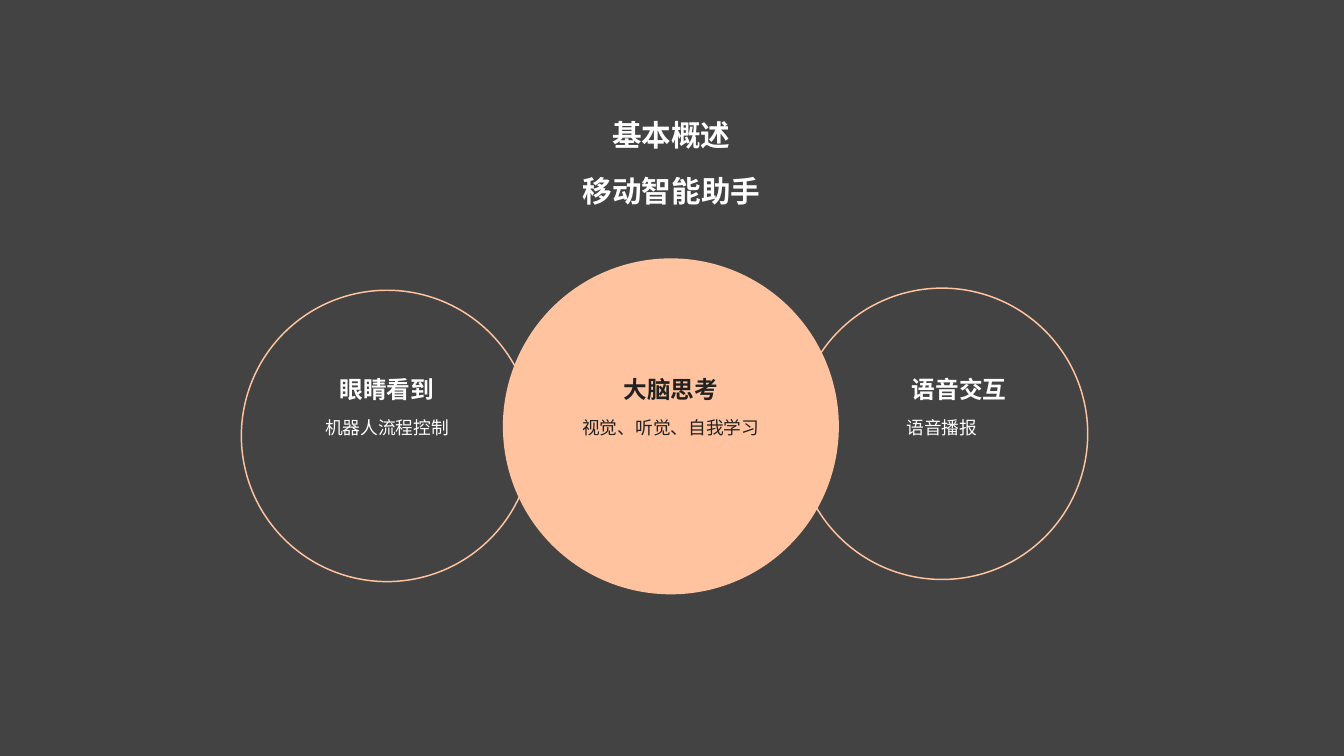
from dataclasses import dataclass

from lxml import etree
from pptx import Presentation
from pptx.dml.color import RGBColor
from pptx.enum.shapes import MSO_SHAPE
from pptx.enum.text import MSO_ANCHOR, MSO_AUTO_SIZE, PP_ALIGN
from pptx.oxml.ns import qn
from pptx.util import Inches, Pt

OVAL = MSO_SHAPE.OVAL
TOP = MSO_ANCHOR.TOP
CENTER = PP_ALIGN.CENTER
NO_AUTOFIT = MSO_AUTO_SIZE.NONE


@dataclass(frozen=True)
class Theme:
    """Colours, font and type sizes of the slide."""
    background: RGBColor = RGBColor.from_string("434343")
    accent: RGBColor = RGBColor.from_string("FFC39F")
    light: RGBColor = RGBColor.from_string("FFFFFF")
    dark: RGBColor = RGBColor.from_string("212121")
    font: str = "Noto Sans CJK SC"
    title: int = 20
    heading: int = 16
    body: int = 12
    line_spacing: float = 1.16


THEME = Theme()
SLIDE_WIDTH, SLIDE_HEIGHT = 12.64, 7.11
HEADING_WIDTH, BODY_WIDTH = 1.79, 2.23
BODY_DROP = 0.41

ABILITIES = [
    {"box": (2.27, 2.73, 2.74), "heading": "眼睛看到", "body": "机器人流程控制",
     "label_drop": 0.74},
    {"box": (4.73, 2.43, 3.16), "heading": "大脑思考", "body": "视觉、听觉、自我学习",
     "label_drop": 1.04, "filled": True},
    {"box": (7.49, 2.71, 2.74), "heading": "语音交互", "body": "语音播报",
     "label_drop": 0.76, "heading_shift": 0.16},
]


def set_attributes(target, values):
    """Set every named value on the target."""
    for name, value in values.items():
        setattr(target, name, value)


def write_line(shape, wording, size, color, bold):
    """Write one centred line into a text shape."""
    frame = shape.text_frame
    set_attributes(frame, {
        "word_wrap": True, "auto_size": NO_AUTOFIT, "vertical_anchor": TOP,
        "margin_left": Inches(0.03), "margin_right": Inches(0.03),
        "margin_top": Inches(0.01), "margin_bottom": Inches(0.01)})
    paragraph = frame.paragraphs[0]
    set_attributes(paragraph, {"alignment": CENTER, "line_spacing": THEME.line_spacing,
                               "space_before": Pt(0)})
    run = paragraph.add_run()
    run.text = wording
    set_attributes(run.font, {"name": THEME.font, "size": Pt(size), "bold": bold})
    run.font.color.rgb = color
    east_asian = etree.SubElement(run._r.get_or_add_rPr(), qn("a:ea"))
    east_asian.set("typeface", THEME.font)


def add_line(slide, middle, top, width, height, wording, size, color, bold=True):
    """Add a line of text centred on a horizontal position."""
    label = slide.shapes.add_textbox(
        Inches(middle - width / 2), Inches(top), Inches(width), Inches(height))
    write_line(label, wording, size, color, bold)


def add_titles(slide, left, top, width):
    """Fill the title placeholder and add the subtitle below it."""
    title = slide.shapes.title
    set_attributes(title, {"left": Inches(left), "top": Inches(top),
                           "width": Inches(width), "height": Inches(0.42)})
    write_line(title, "基本概述", THEME.title, THEME.light, True)
    add_line(slide, left + width / 2, top + 0.52, width, 0.43,
             "移动智能助手", THEME.title, THEME.light)


def add_ability(slide, box, heading, body, label_drop, filled=False, heading_shift=0):
    """Draw a circle in its box with a heading and a body line."""
    left, top, diameter = box
    circle = slide.shapes.add_shape(
        OVAL, Inches(left), Inches(top), Inches(diameter), Inches(diameter))
    circle.shadow.inherit = False
    if filled:
        circle.fill.solid()
        circle.fill.fore_color.rgb = THEME.accent
        circle.line.fill.background()
    else:
        circle.fill.background()
        circle.line.color.rgb = THEME.accent
        circle.line.width = Pt(1)
    color = THEME.dark if filled else THEME.light
    middle, heading_top = left + diameter / 2, top + label_drop
    add_line(slide, middle + heading_shift, heading_top, HEADING_WIDTH, 0.35,
             heading, THEME.heading, color)
    add_line(slide, middle, heading_top + BODY_DROP, BODY_WIDTH, 0.26,
             body, THEME.body, color, bold=False)


def build():
    """Build the overview slide and save it."""
    deck = Presentation()
    set_attributes(deck, {"slide_width": Inches(SLIDE_WIDTH),
                          "slide_height": Inches(SLIDE_HEIGHT)})
    slide = deck.slides.add_slide(deck.slide_layouts.get_by_name("Title Only"))
    slide.background.fill.solid()
    slide.background.fill.fore_color.rgb = THEME.background
    add_titles(slide, 5.42, 1.04, HEADING_WIDTH)
    for ability in ABILITIES:
        add_ability(slide, **ability)
    deck.save("out.pptx")


build()
